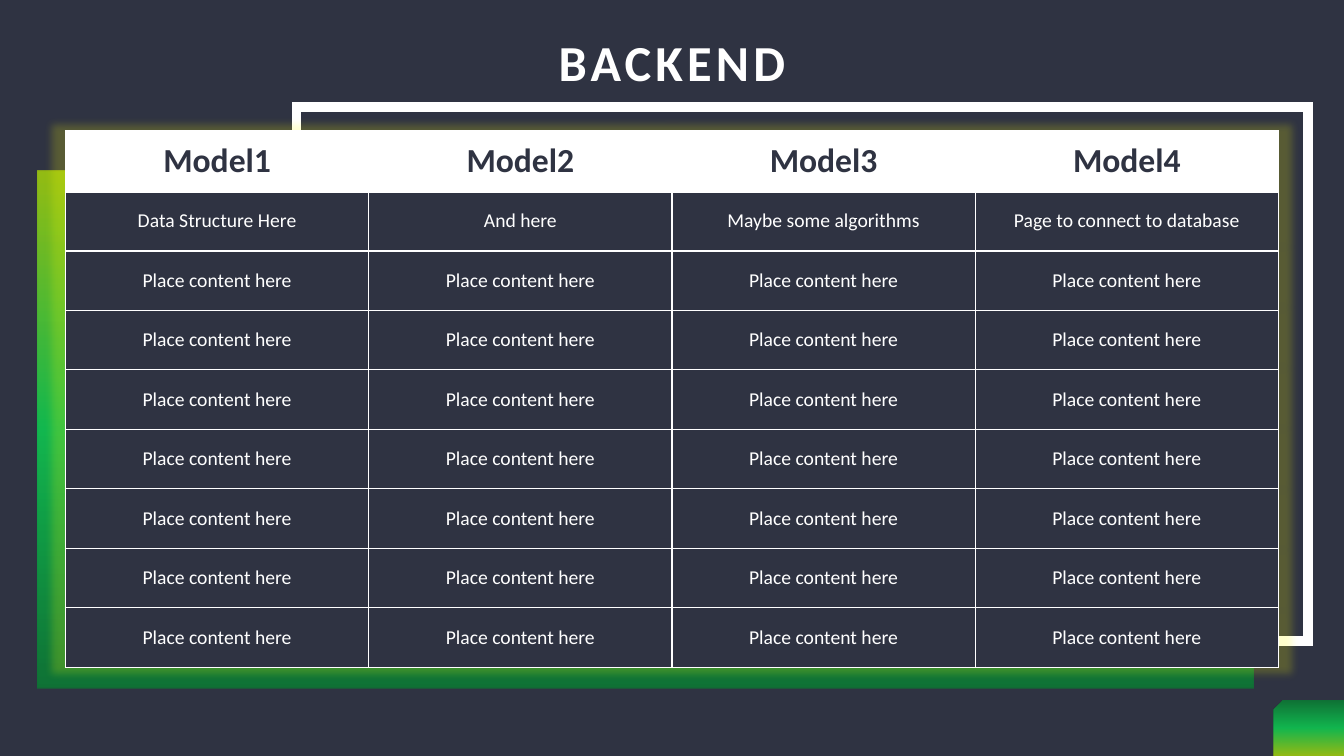
"""Build the BACKEND slide: a table of four models over a frame and a gradient panel."""
from lxml import etree
from pptx import Presentation
from pptx.dml.color import RGBColor
from pptx.enum.shapes import MSO_SHAPE
from pptx.enum.text import MSO_ANCHOR, PP_ALIGN
from pptx.oxml import parse_xml
from pptx.util import Inches, Pt

RECTANGLE, SNIPPED = MSO_SHAPE.RECTANGLE, MSO_SHAPE.SNIP_1_RECTANGLE
MIDDLE, CENTER = MSO_ANCHOR.MIDDLE, PP_ALIGN.CENTER
NS = 'xmlns:a="http://schemas.openxmlformats.org/drawingml/2006/main"'

TITLE = "BACKEND"
MODELS = ["Model1", "Model2", "Model3", "Model4"]
FIRST_ENTRIES = ["Data Structure Here", "And here", "Maybe some algorithms",
                 "Page to connect to database"]
FILLER, FILLER_ROWS = "Place content here", 7
ROWS = [MODELS, FIRST_ENTRIES] + [[FILLER] * len(MODELS)] * FILLER_ROWS

FONT = "Calibri"
COLORS = {"dark": "2F3342", "white": "FFFFFF", "glow": "FFFF00",
          "forest": "038B30", "green": "05EE55", "lime": "C0F400"}
GRADIENT = [(0, "forest"), (50, "green"), (100, "lime")]

WIDTH, HEIGHT = 13.33, 7.5
MARGIN, TABLE_TOP = 0.65, 1.3
TABLE_WIDTH, HEADER_HEIGHT, ROW_HEIGHT = WIDTH - 2 * MARGIN, 0.6, 0.59
CORNER_WIDTH, CORNER_HEIGHT = 0.7, 0.55


def rgb(name):
    return RGBColor.from_string(COLORS[name])


def style_text(paragraph, size, color, bold):
    paragraph.alignment = CENTER
    font = paragraph.font
    font.name, font.size, font.bold = FONT, Pt(size), bold
    font.color.rgb = rgb(color)


def add_box(slide, preset, left, top, width, height):
    box = slide.shapes.add_shape(preset, *map(Inches, (left, top, width, height)))
    box.shadow.inherit = False
    box._element.spPr.xfrm.set("flipH", "1")
    return box


def add_gradient_box(slide, preset, bounds, angle):
    box = add_box(slide, preset, *bounds)
    box.line.fill.background()
    stops = "".join(
        f'<a:gs pos="{pos * 1000}"><a:srgbClr val="{COLORS[name]}">'
        '<a:alpha val="70000"/></a:srgbClr></a:gs>' for pos, name in GRADIENT)
    box._element.spPr.prstGeom.addnext(parse_xml(
        f'<a:gradFill {NS} rotWithShape="1"><a:gsLst>{stops}</a:gsLst>'
        f'<a:lin ang="{angle * 60000}" scaled="0"/></a:gradFill>'))


def add_frame(slide, bounds):
    frame = add_box(slide, RECTANGLE, *bounds)
    frame.fill.background()
    frame.line.color.rgb = rgb("white")
    frame.line.width = Pt(7)
    frame.line._get_or_add_ln().append(parse_xml(f'<a:miter {NS} lim="800000"/>'))


def set_borders(cell, row):
    widths = {"L": 1, "R": 1, "T": 3 if row == 1 else 1, "B": 3 if row == 0 else 1}
    properties = cell._tc.get_or_add_tcPr()
    for position, (side, width) in enumerate(widths.items()):
        properties.insert(position, parse_xml(
            f'<a:ln{side} {NS} w="{Pt(width)}"><a:solidFill>'
            f'<a:srgbClr val="{COLORS["white"]}"/></a:solidFill></a:ln{side}>'))


def add_models_table(slide):
    height = HEADER_HEIGHT + ROW_HEIGHT * (len(ROWS) - 1)
    table = slide.shapes.add_table(
        len(ROWS), len(MODELS),
        *map(Inches, (MARGIN, TABLE_TOP, TABLE_WIDTH, height))).table
    table.first_row = table.horz_banding = False
    table._tbl.tblPr.insert(0, parse_xml(
        f'<a:effectLst {NS}><a:outerShdw blurRad="63500" sx="102000" sy="102000" '
        f'algn="ctr" rotWithShape="0"><a:srgbClr val="{COLORS["glow"]}">'
        '<a:alpha val="20000"/></a:srgbClr></a:outerShdw></a:effectLst>'))
    for row, entries in enumerate(ROWS):
        header = row == 0
        table.rows[row].height = Inches(HEADER_HEIGHT if header else ROW_HEIGHT)
        for column, entry in enumerate(entries):
            cell = table.cell(row, column)
            cell.text = entry
            cell.vertical_anchor = MIDDLE
            cell.margin_left = cell.margin_right = Inches(0.07)
            cell.margin_top = cell.margin_bottom = Inches(0.04)
            cell.fill.solid()
            cell.fill.fore_color.rgb = rgb("white" if header else "dark")
            style_text(cell.text_frame.paragraphs[0], 24 if header else 14,
                       "dark" if header else "white", header)
            set_borders(cell, row)


def format_title(title):
    title.left, title.top = Inches(MARGIN), Inches(0)
    title.width, title.height = Inches(TABLE_WIDTH), Inches(TABLE_TOP)
    title.text_frame.text = TITLE
    title.text_frame.vertical_anchor = MIDDLE
    heading = title.text_frame.paragraphs[0]
    heading.line_spacing = 0.9
    style_text(heading, 36, "white", True)
    heading.runs[0]._r.get_or_add_rPr().set("spc", "300")


def main():
    deck = Presentation()
    deck.slide_width, deck.slide_height = Inches(WIDTH), Inches(HEIGHT)
    slide = deck.slides.add_slide(deck.slide_layouts[5])
    slide.background.fill.solid()
    slide.background.fill.fore_color.rgb = rgb("dark")
    format_title(slide.shapes.title)
    add_gradient_box(slide, SNIPPED, (WIDTH - CORNER_WIDTH, HEIGHT - CORNER_HEIGHT,
                                      CORNER_WIDTH, CORNER_HEIGHT), 90)
    add_frame(slide, (2.94, 1.06, 10.03, 5.3))
    add_gradient_box(slide, RECTANGLE, (0.37, 1.69, 12.06, 5.14), 270)
    add_models_table(slide)
    deck.save("out.pptx")


if __name__ == "__main__":
    main()
